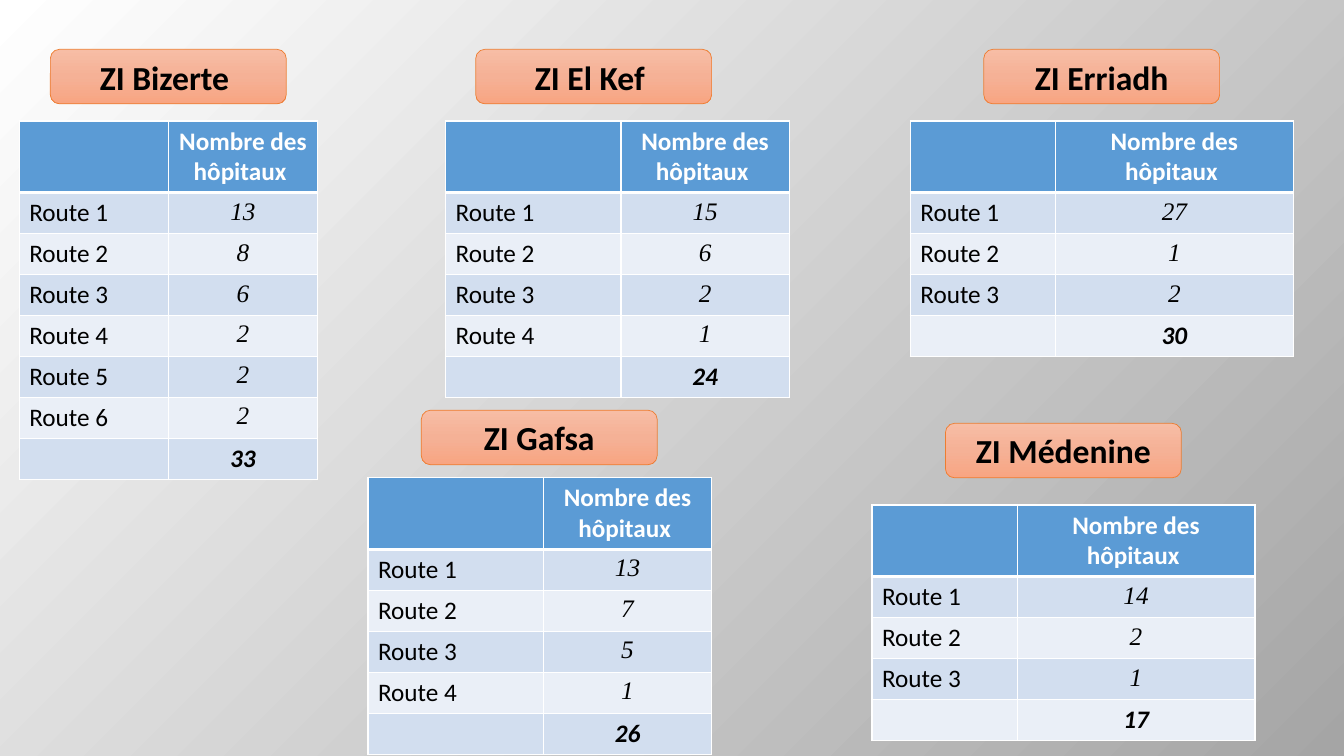
from copy import deepcopy

from lxml import etree
from pptx import Presentation
from pptx import util as u
from pptx.dml.color import RGBColor
from pptx.enum import shapes, text
from pptx.oxml import parse_xml
from pptx.oxml.ns import nsdecls, qn

# Zone: title, button (x, y), table (x, y), column widths, hospitals per route.
# Lengths are percentages of the slide's width and height.
NARROW, MEDIUM, WIDE = (11.1, 11.1), (13.05, 12.53), (10.8, 17.7)
ZONES = [
    ("ZI Bizerte ", (3.75, 6.53), (1.43, 16), NARROW, [13, 8, 6, 2, 2, 2]),
    ("ZI El Kef ", (35.4, 6.53), (33.15, 16), MEDIUM, [15, 6, 2, 1]),
    ("ZI Erriadh", (73.2, 6.53), (67.73, 16), WIDE, [27, 1, 2]),
    ("ZI Médenine", (70.35, 56), (64.88, 66.8), WIDE, [14, 2, 1]),
    ("ZI Gafsa", (31.35, 54.27), (27.38, 63.2), MEDIUM, [13, 7, 5, 1]),
]


def rgb(value):
    return RGBColor.from_string(value)


class Deck:
    BUTTON_SIZE = (17.55, 7.2)
    HEADER_HEIGHT, ROW_HEIGHT = 9.4, 5.42
    HEADER, BANDS = "5B9BD5", ("D2DEEF", "EAEFF7")
    BODY, NUMBERS = "Calibri", "Times New Roman"

    def __init__(self, prs):
        self.prs = prs
        self.s = prs.slides.add_slide(prs.slide_layouts[6])

    def x(self, share):
        return u.Emu(round(self.prs.slide_width * share / 100))

    def y(self, share):
        return u.Emu(round(self.prs.slide_height * share / 100))

    def gradient(self, fill, owner, colors):
        """Spread the colours evenly and return the gradFill element."""
        fill.gradient()
        grad = next(owner.iter(qn("a:gradFill")))
        stops = grad.find(qn("a:gsLst"))
        for _ in colors[2:]:
            stops.append(deepcopy(stops[0]))
        for i, (stop, color) in enumerate(zip(fill.gradient_stops, colors)):
            stop.position = i / (len(colors) - 1)
            stop.color.rgb = rgb(color)
        return grad

    def background(self, colors):
        """Shade the slide outwards from its top left corner."""
        grad = self.gradient(self.s.background.fill, self.s.element, colors)
        grad.replace(grad.find(qn("a:lin")), parse_xml(
            f'<a:path {nsdecls("a")} path="circle">'
            '<a:fillToRect r="100000" b="100000"/></a:path>'))

    def put_text(self, tf, words, size, color="000000", font=BODY, bold=False,
                 italic=False, align=text.PP_ALIGN.CENTER):
        p = tf.paragraphs[0]
        p.text, p.alignment = words, align
        p.font.name, p.font.size = font, u.Pt(size)
        p.font.bold, p.font.italic = bold, italic
        p.font.color.rgb = rgb(color)

    def button(self, title, at):
        width, height = self.BUTTON_SIZE
        sp = self.s.shapes.add_shape(
            shapes.MSO_SHAPE.ROUNDED_RECTANGLE,
            self.x(at[0]), self.y(at[1]), self.x(width), self.y(height))
        sp.shadow.inherit = False
        self.gradient(sp.fill, sp.element, ["F7BDA5", "F5B196", "F8A582"])
        sp.fill.gradient_angle = 270
        sp.line.color.rgb = rgb("ED7D31")
        sp.line.width = u.Pt(0.5)
        sp.text_frame.word_wrap = True
        sp.text_frame.vertical_anchor = text.MSO_ANCHOR.MIDDLE
        self.put_text(sp.text_frame, title, 24, bold=True)

    def paint(self, cell, fill, top=1, bottom=1):
        """Fill a cell and give it white borders, widths in points."""
        cell.fill.solid()
        cell.fill.fore_color.rgb = rgb(fill)
        props = cell._tc.get_or_add_tcPr()
        for i, (side, width) in enumerate(
                [("L", 1), ("R", 1), ("T", top), ("B", bottom)]):
            ln = etree.Element(qn(f"a:ln{side}"), w=str(int(u.Pt(width))))
            solid = etree.SubElement(ln, qn("a:solidFill"))
            etree.SubElement(solid, qn("a:srgbClr"), val="FFFFFF")
            props.insert(i, ln)

    def table(self, at, widths, counts):
        rows = len(counts) + 2
        frame = self.s.shapes.add_table(
            rows, 2, self.x(at[0]), self.y(at[1]), self.x(sum(widths)),
            self.y(self.ROW_HEIGHT * rows))
        tbl = frame.table
        for column, width in zip(tbl.columns, widths):
            column.width = self.x(width)
        for row in tbl.rows:
            row.height = self.y(self.ROW_HEIGHT)
        frame.height = self.y(self.HEADER_HEIGHT + self.ROW_HEIGHT * (rows - 1))

        for i, row in enumerate(tbl.rows):
            for cell in row.cells:
                if i == 0:
                    self.paint(cell, self.HEADER, bottom=3)
                else:
                    self.paint(cell, self.BANDS[(i - 1) % 2],
                               top=3 if i == 1 else 1)
        self.put_text(tbl.cell(0, 1).text_frame, "Nombre des hôpitaux ", 18,
                      "FFFFFF", bold=True)
        for i, count in enumerate(counts, 1):
            self.put_text(tbl.cell(i, 0).text_frame, f"Route {i}", 18,
                          align=text.PP_ALIGN.LEFT)
            self.put_text(tbl.cell(i, 1).text_frame, str(count), 18,
                          font=self.NUMBERS, italic=True)
        self.put_text(tbl.cell(rows - 1, 1).text_frame, str(sum(counts)), 18,
                      bold=True, italic=True)


def main():
    prs = Presentation()
    prs.slide_width, prs.slide_height = u.Inches(13.33), u.Inches(7.5)
    deck = Deck(prs)
    deck.background(["FFFFFF", "A5A5A5"])
    for title, button_at, table_at, widths, counts in ZONES:
        deck.button(title, button_at)
        deck.table(table_at, widths, counts)
    prs.save("out.pptx")


if __name__ == "__main__":
    main()
